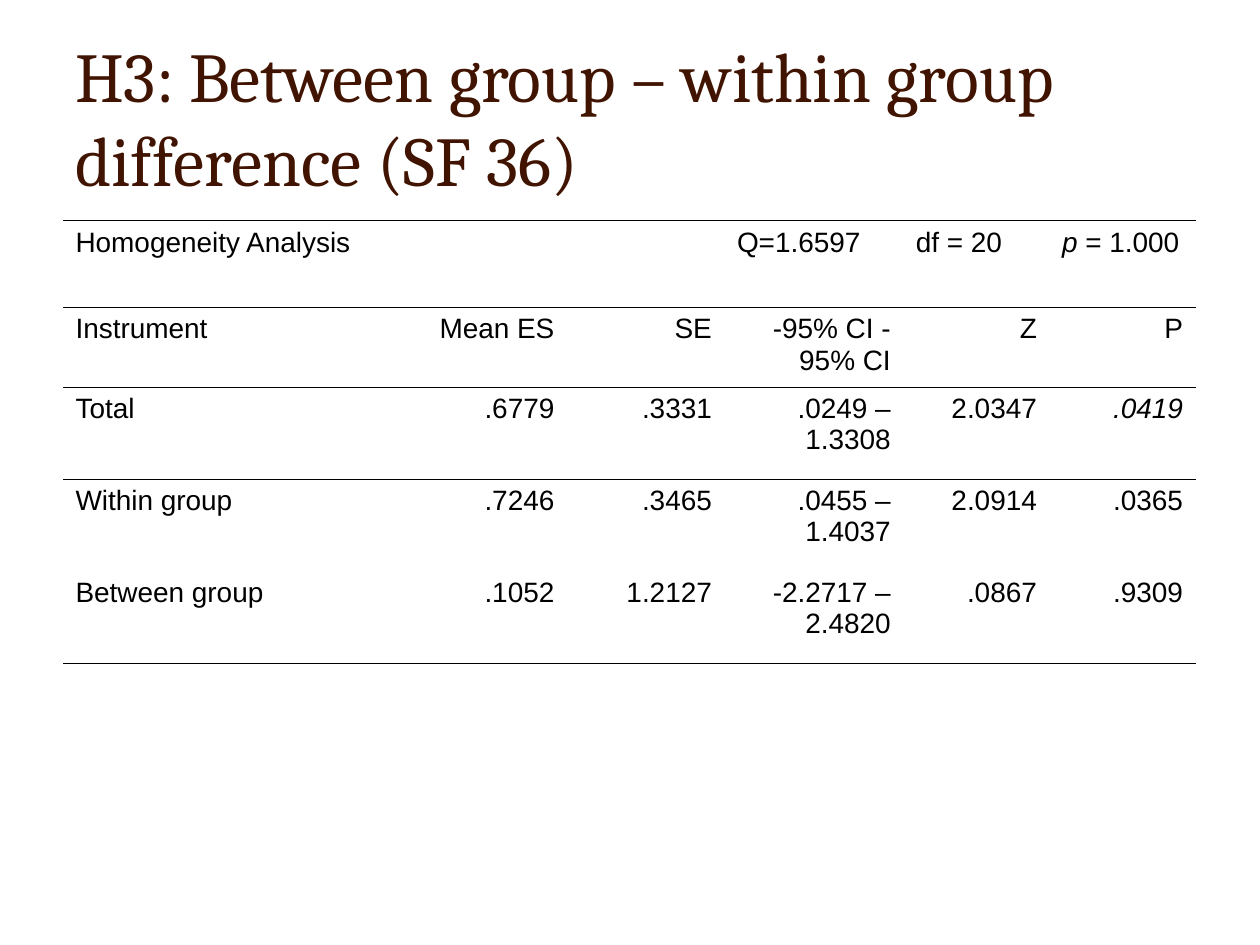
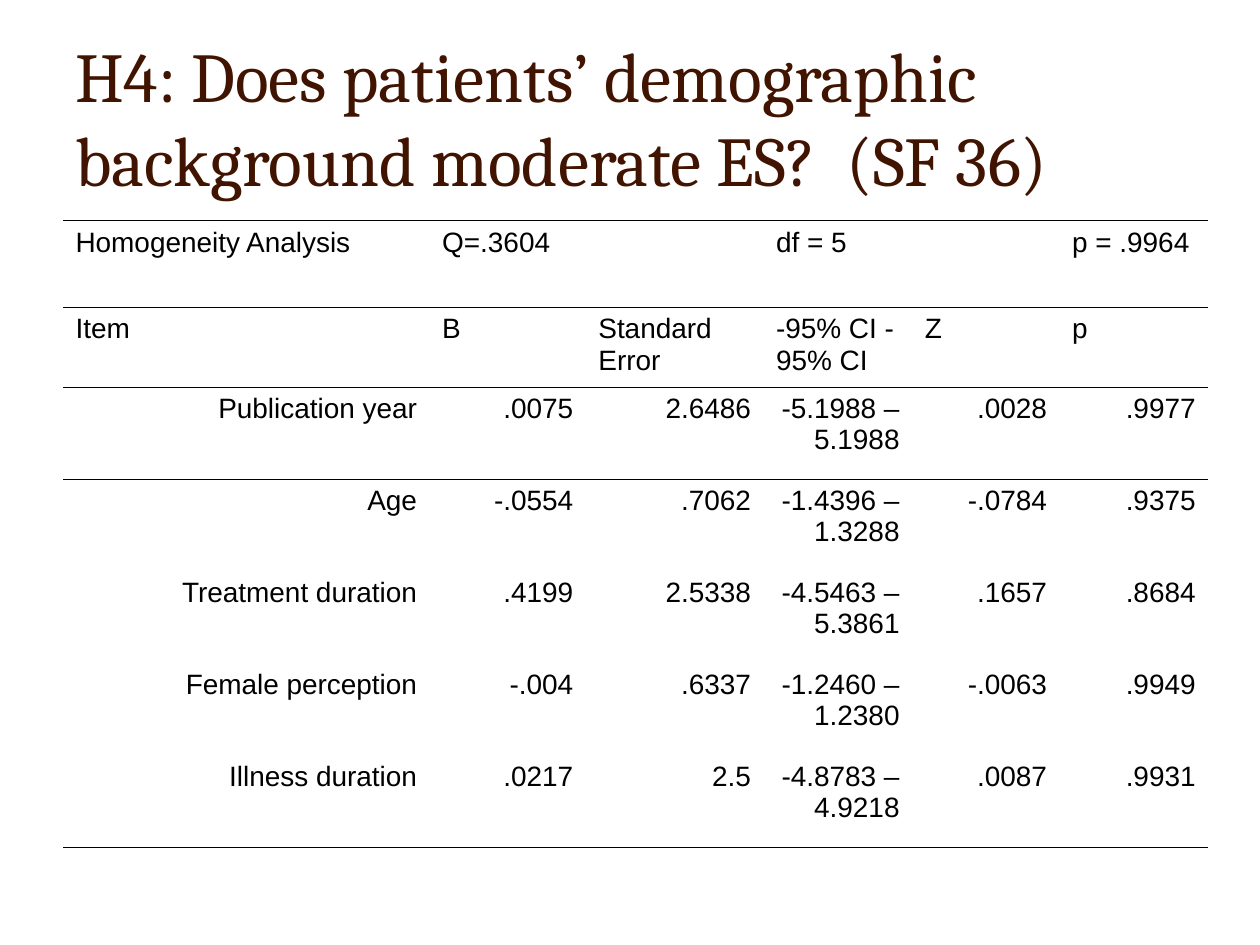
from lxml.etree import SubElement
from pptx import Presentation
from pptx.dml.color import RGBColor
from pptx.enum.text import MSO_ANCHOR, PP_ALIGN
from pptx.oxml.ns import qn
from pptx.util import Inches, Pt

BROWN = RGBColor(0x41, 0x14, 0x01)
BLACK = RGBColor(0x00, 0x00, 0x00)
NO_GRID_STYLE = "{2D5ABB26-0587-4C30-8999-92F81FD0307C}"
HEAD_ROWS = [0.69, 0.63]
BODY_ROW = 0.73

# Each slide: title, column widths, first right-aligned row and column, rows.
# Underscores enclose italics.
SLIDES = [
    ("H3: Between group – within group difference (SF 36)",
     [2.88, 1.12, 1.25, 1.42, 1.16, 1.16], (1, 1),
     [["Homogeneity Analysis", "", "", "Q=1.6597", "df = 20", "_p_ = 1.000"],
      ["Instrument", "Mean ES", "SE", "-95% CI - 95% CI", "Z", "P"],
      ["Total", ".6779", ".3331", ".0249 – 1.3308", "2.0347", "_.0419_"],
      ["Within group", ".7246", ".3465", ".0455 – 1.4037", "2.0914", ".0365"],
      ["Between group", ".1052", "1.2127", "-2.2717 – 2.4820", ".0867", ".9309"]]),
    ("H4: Does patients’ demographic background moderate ES?  (SF 36)",
     [2.91, 1.24, 1.41, 1.18, 1.17, 1.18], (2, 0),
     [["Homogeneity Analysis", "Q=.3604", "", "df = 5", "", "p = .9964"],
      ["Item", "B", "Standard Error", "-95% CI - 95% CI", "Z", "p"],
      ["Publication year", ".0075", "2.6486", "-5.1988 – 5.1988", ".0028", ".9977"],
      ["Age", "-.0554", ".7062", "-1.4396 – 1.3288", "-.0784", ".9375"],
      ["Treatment duration", ".4199", "2.5338", "-4.5463 – 5.3861", ".1657", ".8684"],
      ["Female perception", "-.004", ".6337", "-1.2460 – 1.2380", "-.0063", ".9949"],
      ["Illness duration", ".0217", "2.5", "-4.8783 – 4.9218", ".0087", ".9931"]]),
]


def set_font(p, name, size, color):
    p.font.name = name
    p.font.size = Pt(size)
    p.font.color.rgb = color


def add_rule(cell, side):
    ln = SubElement(cell._tc.get_or_add_tcPr(), qn(f"a:{side}"), w=str(Pt(0.45)))
    fill = SubElement(ln, qn("a:solidFill"))
    SubElement(fill, qn("a:srgbClr"), val=str(BLACK))


prs = Presentation()
prs.slide_width, prs.slide_height = Inches(10), Inches(7.5)

for title, widths, (right_row, right_col), rows in SLIDES:
    s = prs.slides.add_slide(prs.slide_layouts[6])

    # Title
    tf = s.shapes.add_textbox(Inches(0.5), Inches(0.3), Inches(9), Inches(1.25)).text_frame
    tf.word_wrap = True
    tf.vertical_anchor = MSO_ANCHOR.MIDDLE
    p = tf.paragraphs[0]
    p.text = title
    set_font(p, "Cambria", 40, BROWN)

    # Table frame
    heights = HEAD_ROWS + [BODY_ROW] * (len(rows) - len(HEAD_ROWS))
    table = s.shapes.add_table(len(rows), len(widths), Inches(0.5), Inches(1.75),
                               Inches(sum(widths)), Inches(sum(heights))).table
    table.first_row = table.horz_banding = False
    table._tbl.tblPr.find(qn("a:tableStyleId")).text = NO_GRID_STYLE
    for column, width in zip(table.columns, widths):
        column.width = Inches(width)
    for row, height in zip(table.rows, heights):
        row.height = Inches(height)

    # Cells, ruled above and below the two heading rows and at the foot
    for i, texts in enumerate(rows):
        for j, text in enumerate(texts):
            cell = table.cell(i, j)
            if i <= len(HEAD_ROWS):
                add_rule(cell, "lnT")
            if i < len(HEAD_ROWS) or i == len(rows) - 1:
                add_rule(cell, "lnB")
            cell.fill.background()
            p = cell.text_frame.paragraphs[0]
            p.space_before = Pt(4)
            if i >= right_row and j >= right_col:
                p.alignment = PP_ALIGN.RIGHT
            set_font(p, "Arial", 16, BLACK)
            for k, part in enumerate(text.split("_")):
                if part:
                    r = p.add_run()
                    r.text = part
                    if k % 2:
                        r.font.italic = True

prs.save("out.pptx")
